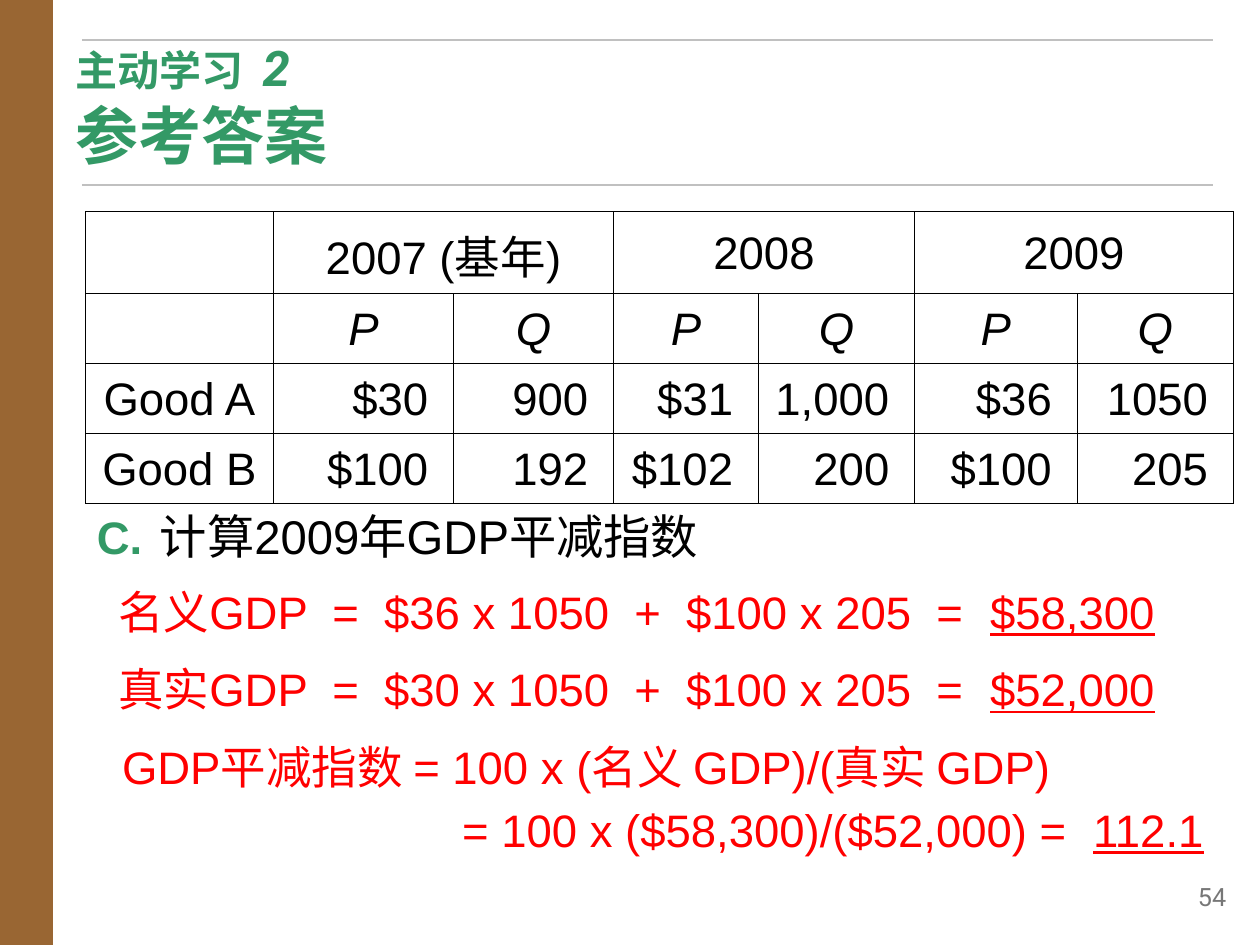
from copy import deepcopy
from lxml import etree
from pptx import Presentation
from pptx import util as u
from pptx.dml.color import RGBColor
from pptx.enum import shapes, text
from pptx.oxml import ns

COLORS = {"band": "996633", "green": "339966", "rule": "C0C0C0", "number": "777777",
          "answer": "FF0000", "ink": "000000", "paper": "FFFFFF"}

deck = Presentation()
deck.slide_width, deck.slide_height = u.Inches(10), u.Inches(7.5)
COL, ROW = deck.slide_width / 100, deck.slide_height / 100
page = deck.slides.add_slide(deck.slide_layouts[5])


def style(span, size, color, font="Arial", **flags):
    span.font.size, span.font.name = u.Pt(size), font
    span.font.color.rgb = RGBColor.from_string(COLORS[color])
    for flag, value in flags.items():
        setattr(span.font, flag, value)


band = page.shapes.add_shape(shapes.MSO_SHAPE.RECTANGLE, 0, 0, int(4.2 * COL), deck.slide_height)
band.shadow.inherit = False
band.fill.solid()
band.fill.fore_color.rgb = RGBColor.from_string(COLORS["band"])
band.line.fill.background()

title = page.shapes.title
title.left, title.top = int(5 * COL), int(4 * ROW)
title.width, title.height = int(90 * COL), int(16.67 * ROW)
frame = title.text_frame
frame.text = "主动学习  \v参考答案"
frame.auto_size = text.MSO_AUTO_SIZE.NONE
frame.vertical_anchor = text.MSO_ANCHOR.TOP
frame.margin_top = frame.margin_bottom = 0
heading = frame.paragraphs[0]
heading.alignment = text.PP_ALIGN.LEFT
label, answer = heading.runs
style(label, 24, "green", "Roboto", bold=True)
style(answer, 36, "green", bold=True)
number = heading.add_run()
number.text = "2"
style(number, 28, "green", "Roboto", bold=True, italic=True)
label._r.addnext(number._r)
heading._p.find(ns.qn("a:br")).append(deepcopy(label._r.rPr))

for row in (4.27, 19.6):
    rule = page.shapes.add_connector(shapes.MSO_CONNECTOR.STRAIGHT, int(6.5 * COL), int(row * ROW),
                                     int(96.25 * COL), int(row * ROW))
    rule.line.color.rgb = RGBColor.from_string(COLORS["rule"])
    rule.line.width = u.Pt(1)
    etree.SubElement(rule._element.spPr, ns.qn("a:effectLst"))

box = page.shapes.add_textbox(int(90.8 * COL), int(92.93 * ROW), int(7.5 * COL), int(5.33 * ROW))
box.text_frame.word_wrap = True
box.text_frame.text = "54"
para = box.text_frame.paragraphs[0]
para.alignment, para.line_spacing = text.PP_ALIGN.RIGHT, 0.9
style(para.runs[0], 14.4, "number", "Roboto")

box = page.shapes.add_textbox(int(6.7 * COL), int(53.47 * ROW), int(89.9 * COL), int(42.93 * ROW))
box.text_frame.word_wrap = True
box.text_frame.margin_right = 0
LINES = [
    (0, 5, -5, [("C.\t", 26, "green", "bold"), ("计算2009年GDP平减指数", 27, "ink", None)]),
    (13, 0, 1.7, [("名义GDP  =  $36 x 1050  +  $100 x 205  =  ", 26, "answer", None),
                  ("$58,300", 26, "answer", "underline")]),
    (14.6, 0, 1.7, [("真实GDP  =  $30 x 1050  +  $100 x 205  =  ", 26, "answer", None),
                    ("$52,000", 26, "answer", "underline")]),
    (14.6, 0, 2, [("GDP平减指数 = 100 x (名义 GDP)/(真实 GDP)", 26, "answer", None)]),
    (6.5, 0, 29, [("= 100 x ($58,300)/($52,000) =  ", 26, "answer", None),
                  ("112.1", 26, "answer", "underline")]),
]
for index, (before, margin, first, spans) in enumerate(LINES):
    para = box.text_frame.add_paragraph() if index else box.text_frame.paragraphs[0]
    para.line_spacing, para.space_before = 0.95, u.Pt(before)
    props = para._p.get_or_add_pPr()
    props.set("marL", str(int(margin * COL)))
    props.set("indent", str(int(first * COL)))
    for words, size, color, flag in spans:
        span = para.add_run()
        span.text = words
        style(span, size, color, **({flag: True} if flag else {}))

GOODS = [
    ["", "2007 (基年)", "", "2008", "", "2009", ""],
    ["", "P", "Q", "P", "Q", "P", "Q"],
    ["Good A", "$30", "900", "$31", "1,000", "$36", "1050"],
    ["Good B", "$100", "192", "$102", "200", "$100", "205"],
]
WIDTHS = [14.9, 14.3, 12.7, 11.5, 12.4, 12.9, 12.4]
HEIGHTS = [8.67, 7.35, 7.35, 7.35]
table = page.shapes.add_table(len(GOODS), len(WIDTHS), int(6.8 * COL), int(22.4 * ROW),
                              int(sum(WIDTHS) * COL), int(sum(HEIGHTS) * ROW)).table
table.first_row = table.horz_banding = False
for column, width in zip(table.columns, WIDTHS):
    column.width = int(width * COL)
for line, height in zip(table.rows, HEIGHTS):
    line.height = int(height * ROW)
for start in (1, 3, 5):
    table.cell(0, start).merge(table.cell(0, start + 1))

for r, goods in enumerate(GOODS):
    for c, words in enumerate(goods):
        cell = table.cell(r, c)
        for side in ("lnL", "lnR", "lnT", "lnB"):
            border = etree.SubElement(cell._tc.get_or_add_tcPr(), ns.qn(f"a:{side}"), w=str(u.Pt(0.45)))
            paint = etree.SubElement(border, ns.qn("a:solidFill"))
            etree.SubElement(paint, ns.qn("a:srgbClr"), val=COLORS["ink"])
        cell.fill.solid()
        cell.fill.fore_color.rgb = RGBColor.from_string(COLORS["paper"])
        if not words:
            continue
        cell.text_frame.text = words
        cell.vertical_anchor = text.MSO_ANCHOR.MIDDLE
        figure = r > 1 and c > 0
        if figure:
            cell.margin_left, cell.margin_right = int(0.5 * COL), int(2 * COL)
        para = cell.text_frame.paragraphs[0]
        para.alignment = text.PP_ALIGN.RIGHT if figure else text.PP_ALIGN.CENTER
        para.line_spacing = 1.05
        style(para.runs[0], 26, "ink", italic=r == 1)

deck.save("out.pptx")
